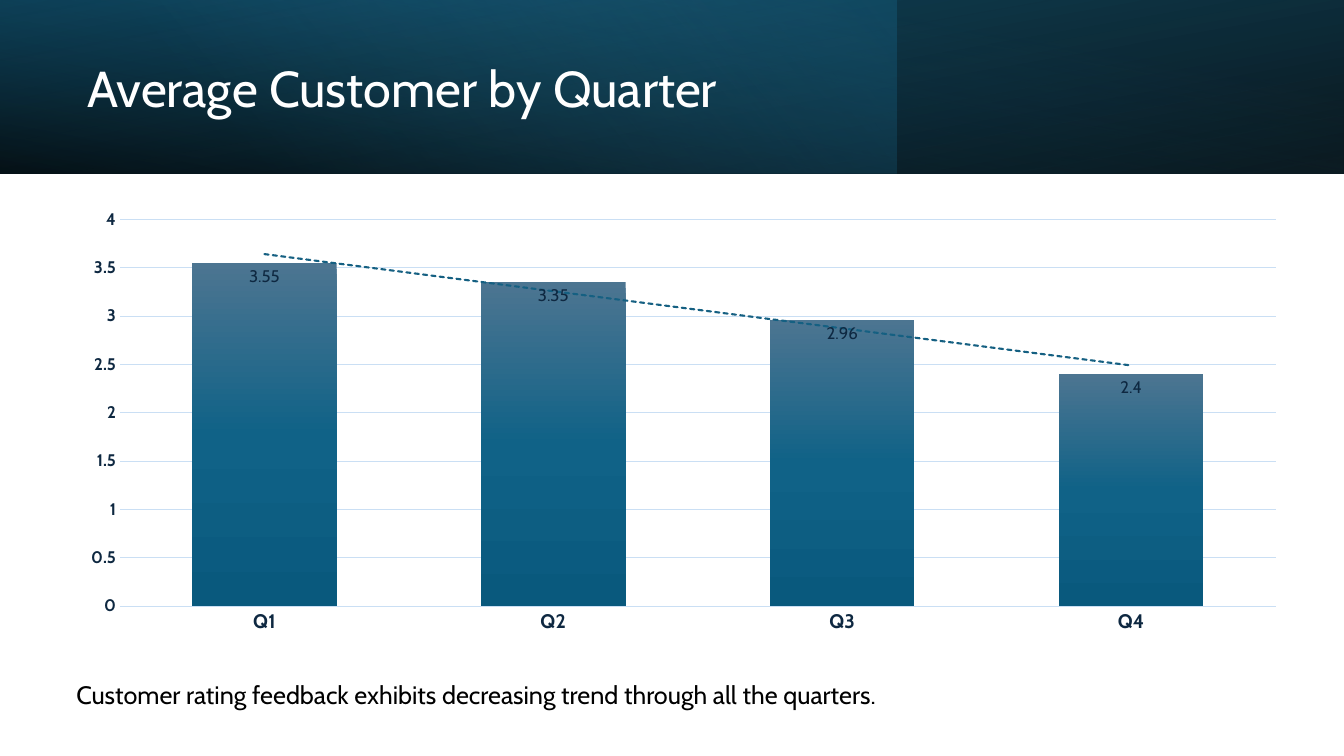
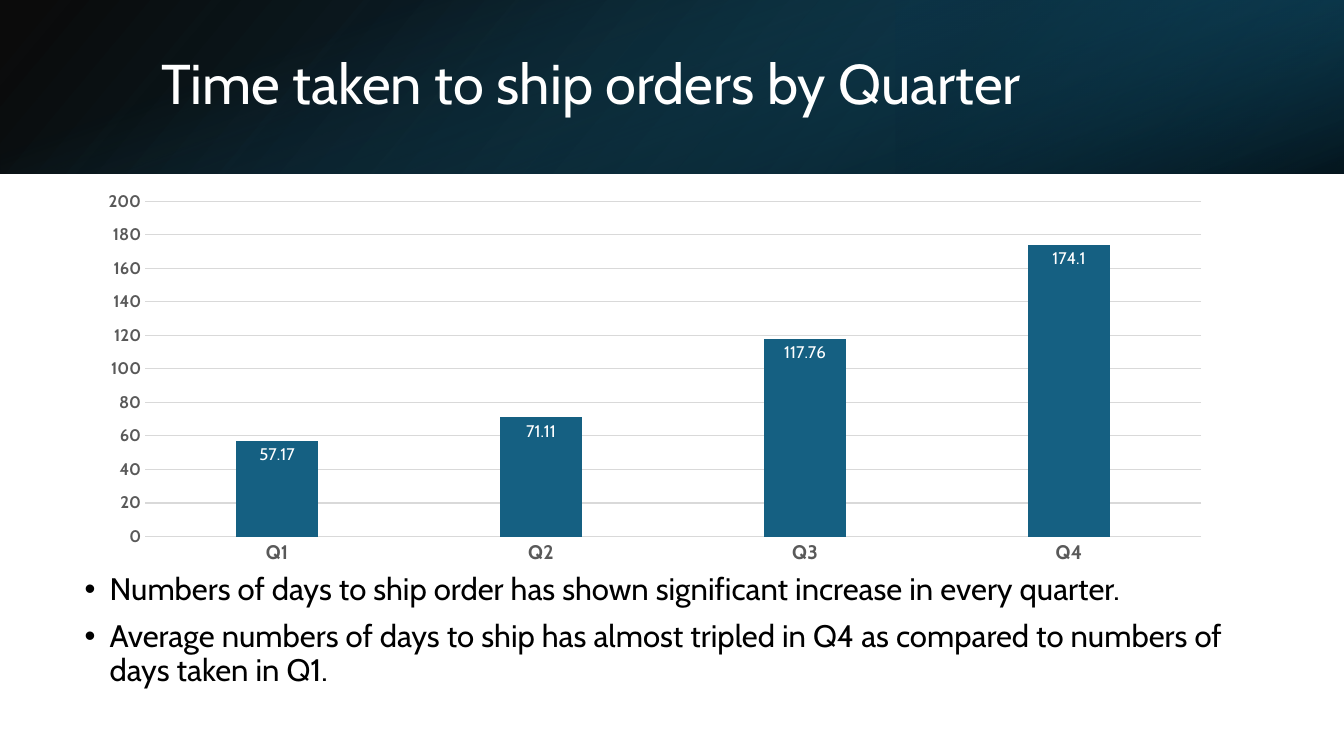
from collections import namedtuple

from lxml.etree import SubElement
from pptx import Presentation
from pptx.chart.data import CategoryChartData
from pptx.dml.color import RGBColor
from pptx.enum.chart import XL_CHART_TYPE, XL_LABEL_POSITION, XL_TICK_MARK
from pptx.enum.shapes import MSO_SHAPE
from pptx.enum.text import MSO_ANCHOR
from pptx.oxml import parse_xml
from pptx.oxml.ns import nsdecls, qn
from pptx.util import Inches, Pt

FONT = "Cabin"
BLACK, WHITE = "000000", "FFFFFF"
TEAL, DEEP_TEAL, SKY = "156082", "104862", "46B1E1"
NAVY, PALE_BLUE = "0E2841", "CADFF4"
GREY, PALE_GREY = "595959", "D9D9D9"
QUARTERS = ["Q1", "Q2", "Q3", "Q4"]
HEADER_SHARE = 23

Box = namedtuple("Box", "left top width height")
Stop = namedtuple("Stop", "position hue alpha", defaults=[100])
Band = namedtuple("Band", "stops angle area rotation flip", defaults=[(0, 0, 100, 100), 0, True])


def colour(hex_code):
    return RGBColor.from_string(hex_code)


def within(box, left, top, width, height):
    column, row = box.width / 100, box.height / 100
    return Box(int(box.left + left * column), int(box.top + top * row),
               int(width * column), int(height * row))


def turned(box):
    shift = (box.width - box.height) // 2
    return Box(box.left + shift, box.top - shift, box.height, box.width)


def style_font(font, size, hue, bold=False):
    font.name, font.size, font.bold = FONT, Pt(size), bold
    font.color.rgb = colour(hue)


def style_line(line, hue, width=0.75):
    line.color.rgb = colour(hue)
    line.width = Pt(width)


def fill_gradient(fill, properties, stops, angle):
    fill.gradient()
    fill.gradient_angle = 360 - angle
    stop_list = properties.find(qn("a:gradFill")).find(qn("a:gsLst"))
    for default_stop in list(stop_list):
        stop_list.remove(default_stop)
    for stop in stops:
        entry = SubElement(stop_list, qn("a:gs"), pos=str(stop.position * 1000))
        hue = SubElement(entry, qn("a:srgbClr"), val=str(colour(stop.hue)))
        if stop.alpha < 100:
            SubElement(hue, qn("a:alpha"), val=str(stop.alpha * 1000))


def add_bullet(paragraph, indent):
    properties = paragraph._p.get_or_add_pPr()
    properties.set("marL", str(indent))
    properties.set("indent", str(-indent))
    SubElement(properties, qn("a:buFont"), typeface="Arial")
    SubElement(properties, qn("a:buChar"), char="•")


def add_text(slide, box, *lines, size=18, hue=BLACK, anchor=MSO_ANCHOR.TOP,
             spacing=None, before=None, bulleted=False):
    frame = slide.shapes.add_textbox(*box).text_frame
    frame.word_wrap = True
    frame.vertical_anchor = anchor
    for index, line in enumerate(lines):
        paragraph = frame.add_paragraph() if index else frame.paragraphs[0]
        if spacing:
            paragraph.line_spacing = spacing
        if before:
            paragraph.space_before = Pt(before)
        if bulleted:
            add_bullet(paragraph, Inches(0.25))
        run = paragraph.add_run()
        run.text = line
        style_font(run.font, size, hue)


def add_band(slide, header, band):
    area = within(header, *band.area)
    if band.rotation % 180:
        area = turned(area)
    panel = slide.shapes.add_shape(MSO_SHAPE.RECTANGLE, *area)
    panel.shadow.inherit = False
    panel.line.fill.background()
    panel.rotation = band.rotation
    properties = panel.element.spPr
    if band.flip:
        properties.find(qn("a:xfrm")).set("flipH", "1")
    fill_gradient(panel.fill, properties, band.stops, band.angle)


def add_header(slide, header, title, bands, title_area, size):
    for band in bands:
        add_band(slide, header, band)
    add_text(slide, within(header, *title_area), title, size=size, hue=WHITE,
             anchor=MSO_ANCHOR.MIDDLE, spacing=0.9)


def add_trend(series):
    trend = parse_xml(
        f'<c:trendline {nsdecls("c", "a")}><c:spPr><a:ln w="{Pt(1.5)}" cap="rnd">'
        f'<a:solidFill><a:srgbClr val="{colour(TEAL)}"/></a:solidFill>'
        '<a:prstDash val="sysDash"/></a:ln></c:spPr>'
        '<c:trendlineType val="linear"/><c:dispRSqr val="0"/><c:dispEq val="0"/>'
        '</c:trendline>')
    series._element.find(qn("c:cat")).addprevious(trend)


def style_axes(chart, maximum, step, text_hue, grid_hue):
    for axis, size in ((chart.category_axis, 14), (chart.value_axis, 12)):
        axis.major_tick_mark = axis.minor_tick_mark = XL_TICK_MARK.NONE
        style_font(axis.tick_labels.font, size, text_hue, bold=True)
    style_line(chart.category_axis.format.line, grid_hue)
    values = chart.value_axis
    values.minimum_scale, values.maximum_scale, values.major_unit = 0, maximum, step
    values.format.line.fill.background()
    style_line(values.major_gridlines.format.line, grid_hue)


def add_quarter_chart(slide, box, values, maximum, step, text_hue, grid_hue,
                      label_hue, gap, overlap):
    data = CategoryChartData()
    data.categories = QUARTERS
    data.add_series("Series 1", values)
    chart = slide.shapes.add_chart(XL_CHART_TYPE.COLUMN_CLUSTERED, *box, data).chart
    chart.has_title = chart.has_legend = False
    style_font(chart.font, 10, BLACK)
    style_axes(chart, maximum, step, text_hue, grid_hue)
    plot = chart.plots[0]
    plot.gap_width, plot.overlap, plot.vary_by_categories = gap, overlap, False
    series = plot.series[0]
    series.format.fill.solid()
    series.format.fill.fore_color.rgb = colour(TEAL)
    labels = series.data_labels
    labels.show_value = True
    labels.position = XL_LABEL_POSITION.INSIDE_END
    style_font(labels.font, 12, label_hue)
    return series


def build_rating_slide(slide, header, body):
    bands = [
        Band([Stop(0, BLACK, 96), Stop(100, DEEP_TEAL)], 100, rotation=180),
        Band([Stop(0, TEAL, 41), Stop(74, SKY, 0)], 140, (0, 0, 66.67, 100), flip=False),
        Band([Stop(0, BLACK, 63), Stop(78, TEAL, 15)], 260),
    ]
    add_header(slide, header, "Average Customer by Quarter", bands,
               (5.78, 15.65, 89.78, 73.6), size=36)
    ratings = add_quarter_chart(
        slide, within(body, 4.95, 4.6, 91.8, 76), [3.55, 3.35, 2.96, 2.4],
        maximum=4, step=0.5, text_hue=NAVY, grid_hue=PALE_BLUE,
        label_hue=NAVY, gap=100, overlap=-24)
    fill_gradient(ratings.format.fill, ratings._element.spPr,
                  [Stop(0, "4C7591"), Stop(50, "106287"), Stop(100, "09597D")], 90)
    add_trend(ratings)
    add_text(slide, within(body, 4.95, 86, 76.5, 7),
             "Customer rating feedback exhibits decreasing trend through all the quarters.")


def build_shipping_slide(slide, header, body):
    bands = [
        Band([Stop(0, BLACK, 96), Stop(100, DEEP_TEAL)], 140),
        Band([Stop(19, "0B3041", 68), Stop(100, TEAL, 79)], 320,
             (66.67, 0, 33.33, 100), rotation=180),
        Band([Stop(23, TEAL, 0), Stop(99, BLACK, 74)], 340, rotation=90, flip=False),
    ]
    add_header(slide, header, "Time taken to ship orders by Quarter", bands,
               (11.25, 22, 82.35, 55.65), size=40)
    add_text(slide, within(body, 5.55, 67.8, 86.25, 25.1),
             "Numbers of days to ship order has shown significant increase in every quarter.",
             "Average numbers of days to ship has almost tripled in Q4 as compared to "
             "numbers of days taken in Q1.",
             size=22.2, spacing=0.9, before=10, bulleted=True)
    add_quarter_chart(
        slide, within(body, 6.38, 1.65, 84.68, 66.84), [57.17, 71.11, 117.76, 174.1],
        maximum=200, step=20, text_hue=GREY, grid_hue=PALE_GREY,
        label_hue=WHITE, gap=219, overlap=-27)


def main():
    deck = Presentation()
    deck.slide_width, deck.slide_height = Inches(13.33), Inches(7.5)
    page = Box(0, 0, deck.slide_width, deck.slide_height)
    header = within(page, 0, 0, 100, HEADER_SHARE)
    body = within(page, 0, HEADER_SHARE, 100, 100 - HEADER_SHARE)
    for build in (build_rating_slide, build_shipping_slide):
        build(deck.slides.add_slide(deck.slide_layouts[6]), header, body)
    deck.save("out.pptx")


if __name__ == "__main__":
    main()
